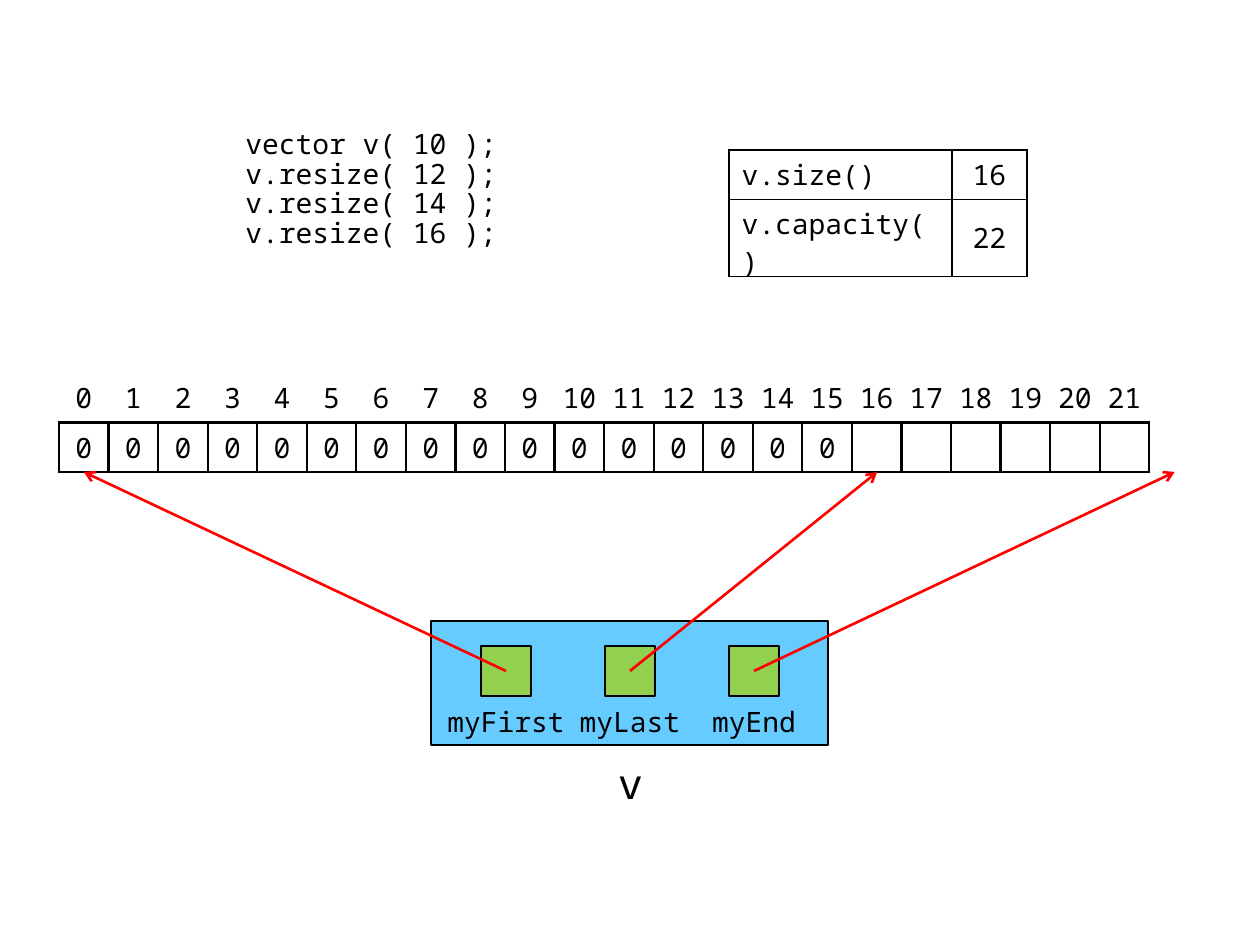
from lxml import etree
from pptx import Presentation, util as u
from pptx.dml.color import RGBColor
from pptx.enum import shapes, text
from pptx.oxml import parse_xml
from pptx.oxml.ns import qn

PX = 914400 / 126
FONT = "Noto Sans Mono"
BLACK = RGBColor(0x00, 0x00, 0x00)
BLUE = RGBColor(0x66, 0xCC, 0xFF)
GREEN = RGBColor(0x92, 0xD0, 0x50)
RED = RGBColor(0xFF, 0x00, 0x00)
NO_STYLE = "{2D5ABB26-0587-4C30-8999-92F81FD0307C}"
CENTER, LEFT = text.PP_ALIGN.CENTER, text.PP_ALIGN.LEFT

# Content
CODE = ["vector v( 10 );", "v.resize( 12 );", "v.resize( 14 );", "v.resize( 16 );"]
SIZE, CAPACITY = 16, 22
STATUS = [["v.size()", str(SIZE)], ["v.capacity()", str(CAPACITY)]]
ELEMENTS = [
    [str(index) for index in range(CAPACITY)],
    ["0"] * SIZE + [""] * (CAPACITY - SIZE),
]
POINTERS = [("myFirst", 0), ("myLast", SIZE), ("myEnd", CAPACITY)]  # name, element pointed at

# Layout in px
ARRAY_LEFT, ARRAY_TOP, ARRAY_WIDTH, ARRAY_HEIGHT = 59, 373, 1091, 99
VECTOR_LEFT, VECTOR_TOP, VECTOR_WIDTH, VECTOR_HEIGHT = 431, 621, 397, 124
POINTER_X, POINTER_Y, POINTER_STEP, POINTER_SIDE = 506, 671, 124, 50
LABEL_TOP, LABEL_WIDTH = 696, 149

presentation = Presentation()
presentation.slide_width, presentation.slide_height = u.Inches(10), u.Inches(7.5)
slide = presentation.slides.add_slide(presentation.slide_layouts[6])


def emu(*lengths):
    return [round(length * PX) for length in lengths]


def style(paragraph, align=CENTER, size=16):
    paragraph.alignment = align
    paragraph.font.name = FONT
    paragraph.font.size = u.Pt(size)
    paragraph.font.color.rgb = BLACK


def add_text(box, lines, align=CENTER, size=16, spacing=None, anchor=text.MSO_ANCHOR.MIDDLE):
    frame = slide.shapes.add_textbox(*emu(*box)).text_frame
    frame.word_wrap = True
    frame.vertical_anchor = anchor
    if align == CENTER:
        frame.margin_left = frame.margin_right = 0
    frame.text = "\n".join(lines)
    for paragraph in frame.paragraphs:
        paragraph.line_spacing = spacing
        style(paragraph, align, size)


def add_box(box, fill, preset):
    shape = slide.shapes.add_shape(preset, *emu(*box))
    shape.shadow.inherit = False
    shape.fill.solid()
    shape.fill.fore_color.rgb = fill
    shape.line.color.rgb = BLACK
    shape.line.width = u.Pt(1.5)


def set_borders(cell, sides, points):
    properties = cell._tc.get_or_add_tcPr()
    for side in sides:
        properties.append(parse_xml(
            f'<a:ln{side} xmlns:a="http://schemas.openxmlformats.org/drawingml/2006/main" '
            f'w="{u.Pt(points)}"><a:solidFill><a:srgbClr val="{BLACK}"/></a:solidFill></a:ln{side}>'))


def add_table(box, rows, widths, aligns, margin, border, first_row_sides="LRTB"):
    table = slide.shapes.add_table(len(rows), len(rows[0]), *emu(*box)).table
    table.first_row = table.horz_banding = False
    table._tbl.tblPr.find(qn("a:tableStyleId")).text = NO_STYLE
    for column, width in zip(table.columns, widths):
        column.width = round(width * PX)
    for r, row in enumerate(rows):
        table.rows[r].height = round(box[3] / len(rows) * PX)
        for c, value in enumerate(row):
            cell = table.cell(r, c)
            cell.margin_left = cell.margin_right = u.Inches(margin)
            cell.margin_top = cell.margin_bottom = u.Inches(0.04)
            cell.vertical_anchor = text.MSO_ANCHOR.MIDDLE
            set_borders(cell, "LRTB" if r else first_row_sides, border)
            cell.fill.background()
            cell.text = value
            style(cell.text_frame.paragraphs[0], aligns[c])


def add_arrow(start, end):
    arrow = slide.shapes.add_connector(shapes.MSO_CONNECTOR.STRAIGHT, *emu(*start, *end))
    arrow.line.color.rgb = RED
    arrow.line.width = u.Pt(1.5)
    etree.SubElement(arrow.line._get_or_add_ln(), qn("a:tailEnd"), type="arrow")
    etree.SubElement(arrow._element.spPr, qn("a:effectLst"))


# Code
add_text((233, 125, 297, 149), CODE, LEFT, spacing=0.88, anchor=text.MSO_ANCHOR.TOP)

# Array with its index row
cell_width = ARRAY_WIDTH / CAPACITY
add_table((ARRAY_LEFT, ARRAY_TOP, ARRAY_WIDTH, ARRAY_HEIGHT), ELEMENTS,
          [cell_width] * CAPACITY, [CENTER] * CAPACITY, 0.06, 1.5, first_row_sides="B")

# Vector object
add_text((581, 746, 99, 74), ["v"], size=24)
add_box((VECTOR_LEFT, VECTOR_TOP, VECTOR_WIDTH, VECTOR_HEIGHT), BLUE,
        shapes.MSO_SHAPE.FLOWCHART_PROCESS)

# Pointers, then the arrows over them
centers = [POINTER_X + i * POINTER_STEP for i in range(len(POINTERS))]
for x, (name, _) in zip(centers, POINTERS):
    add_text((x - LABEL_WIDTH / 2, LABEL_TOP, LABEL_WIDTH, POINTER_SIDE), [name])
    add_box((x - POINTER_SIDE / 2, POINTER_Y - POINTER_SIDE / 2, POINTER_SIDE, POINTER_SIDE),
            GREEN, shapes.MSO_SHAPE.RECTANGLE)
for x, (_, element) in zip(centers, POINTERS):
    target_x = ARRAY_LEFT + (element + 0.5) * cell_width
    add_arrow((x, POINTER_Y), (target_x, ARRAY_TOP + ARRAY_HEIGHT))

# Size and capacity
add_table((729, 150, 298, 99), STATUS, [223, 75], [LEFT, CENTER], 0.1, 1)

presentation.save("out.pptx")
